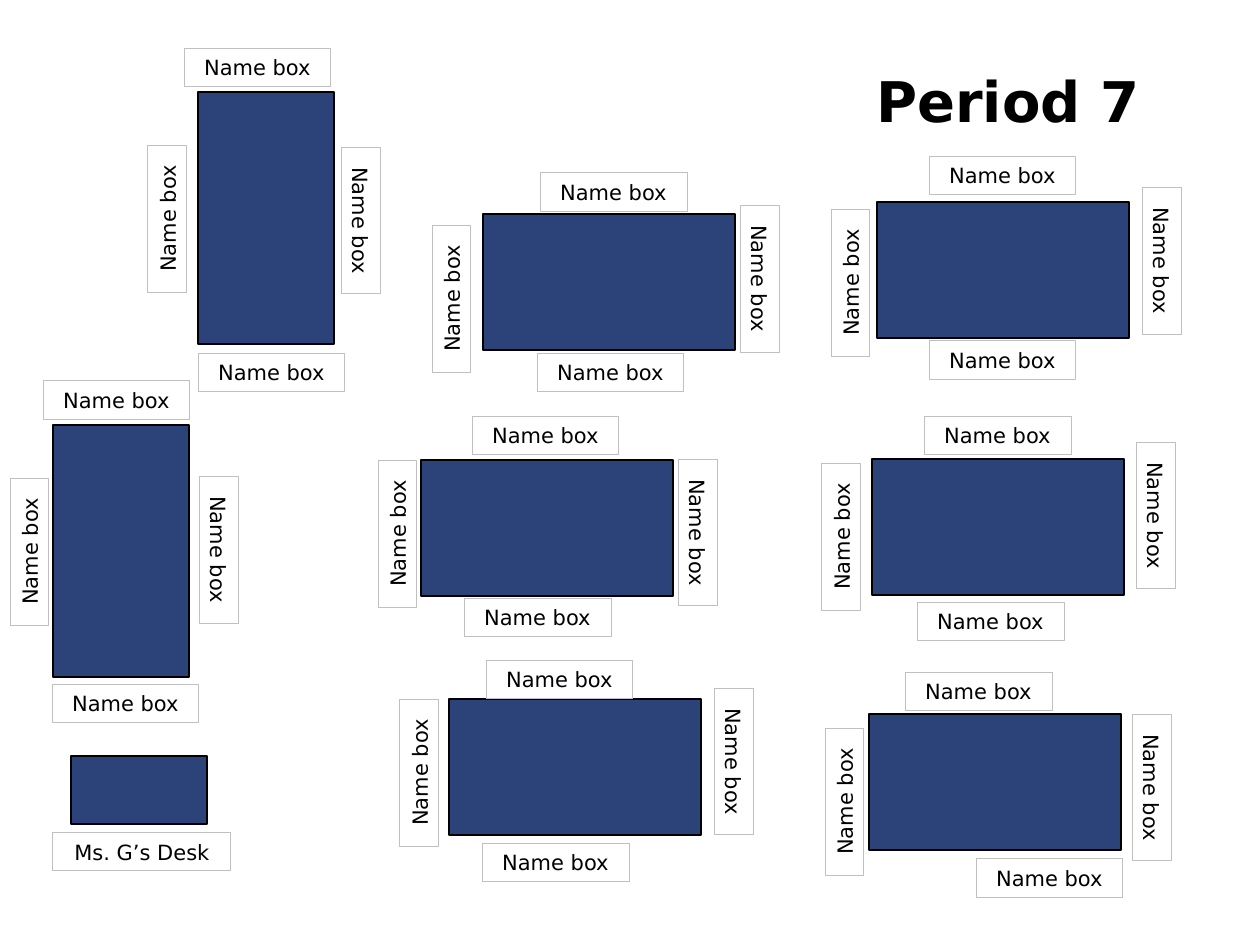
from dataclasses import dataclass

from pptx import Presentation
from pptx.dml.color import RGBColor
from pptx.enum.shapes import MSO_SHAPE
from pptx.enum.text import MSO_ANCHOR, MSO_AUTO_SIZE, PP_ALIGN
from pptx.util import Pt

RECTANGLE = MSO_SHAPE.RECTANGLE
MIDDLE = MSO_ANCHOR.MIDDLE
GROW = MSO_AUTO_SIZE.SHAPE_TO_FIT_TEXT
CENTER = PP_ALIGN.CENTER
LEFT = PP_ALIGN.LEFT
PX = 914400 / 126


@dataclass(frozen=True)
class Theme:
    font: str = "DejaVu Sans"
    title_size: int = 32
    label_size: int = 12
    ink: RGBColor = RGBColor.from_string("000000")
    desk: RGBColor = RGBColor.from_string("2B4379")
    paper: RGBColor = RGBColor.from_string("FFFFFF")
    label_edge: RGBColor = RGBColor.from_string("C0C0C0")


theme = Theme()


def add_box(left, top, size, turn, fill, edge, edge_width):
    """Add a rectangle whose left and top are those seen after the turn."""
    width, height = size
    if turn % 180:
        left += (height - width) / 2
        top += (width - height) / 2
    box = slide.shapes.add_shape(
        RECTANGLE, *(round(n * PX) for n in (left, top, width, height)))
    box.rotation = turn
    box.shadow.inherit = False
    box.fill.solid()
    box.fill.fore_color.rgb = fill
    box.line.color.rgb = edge
    box.line.width = Pt(edge_width)
    return box


def write(shape, text, size, align, bold=False):
    frame = shape.text_frame
    frame.word_wrap = True
    frame.vertical_anchor = MIDDLE
    line = frame.paragraphs[0]
    line.text = text
    line.alignment = align
    line.font.name = theme.font
    line.font.size = Pt(size)
    line.font.bold = bold
    line.font.color.rgb = theme.ink


prs = Presentation()
prs.slide_width, prs.slide_height = round(1260 * PX), round(945 * PX)
slide = prs.slides.add_slide(prs.slide_layouts[6])

title = slide.shapes.add_textbox(*(round(n * PX) for n in (864, 53, 343, 94)))
write(title, "Period 7", theme.title_size, LEFT, bold=True)

# Each table: its turn and corner, then the corners of the names around it
# in the order top, right, bottom, left.
TABLE_SIZE = (252, 136)
NAME_SIZE = (147, 39)
NAME_TURNS = (0, 90, 0, 270)
tables = [
    (0, (877, 202), [(929, 156), (1142, 187), (929, 341), (831, 209)]),
    (0, (872, 459), [(924, 416), (1136, 442), (917, 602), (822, 463)]),
    (0, (869, 714), [(905, 672), (1132, 714), (976, 859), (825, 728)]),
    (0, (483, 214), [(540, 173), (740, 205), (537, 353), (432, 225)]),
    (0, (421, 460), [(472, 416), (678, 459), (464, 598), (378, 460)]),
    (0, (449, 699), [(486, 660), (714, 688), (482, 843), (400, 699)]),
    (90, (198, 92), [(184, 48), (341, 147), (198, 353), (148, 145)]),
    (90, (53, 425), [(43, 381), (199, 476), (52, 684), (10, 478)]),
]
desks = [(corner, TABLE_SIZE, turn) for turn, corner, _ in tables]
desks.append(((71, 756), (68, 136), 270))
labels = [("Name box", corner, NAME_SIZE, turn)
          for _, _, corners in tables
          for corner, turn in zip(corners, NAME_TURNS)]
labels.append(("Ms. G’s Desk", (53, 833), (178, 38), 0))

for (left, top), size, turn in desks:
    add_box(left, top, size, turn, theme.desk, theme.ink, 0.75)

for text, (left, top), size, turn in labels:
    label = add_box(left, top, size, turn, theme.paper, theme.label_edge, 0.5)
    write(label, text, theme.label_size, CENTER)
    label.text_frame.auto_size = GROW

prs.save("out.pptx")
